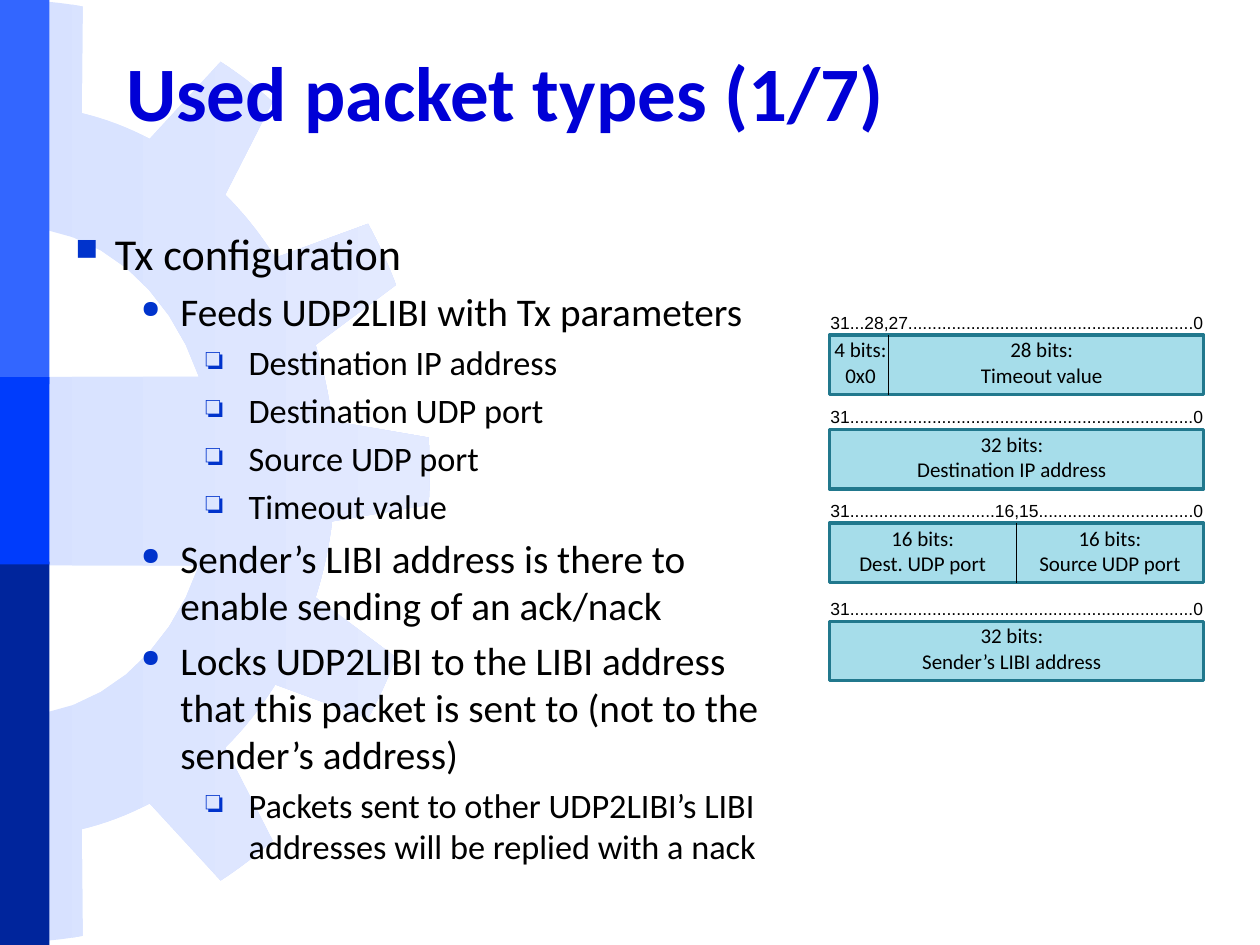
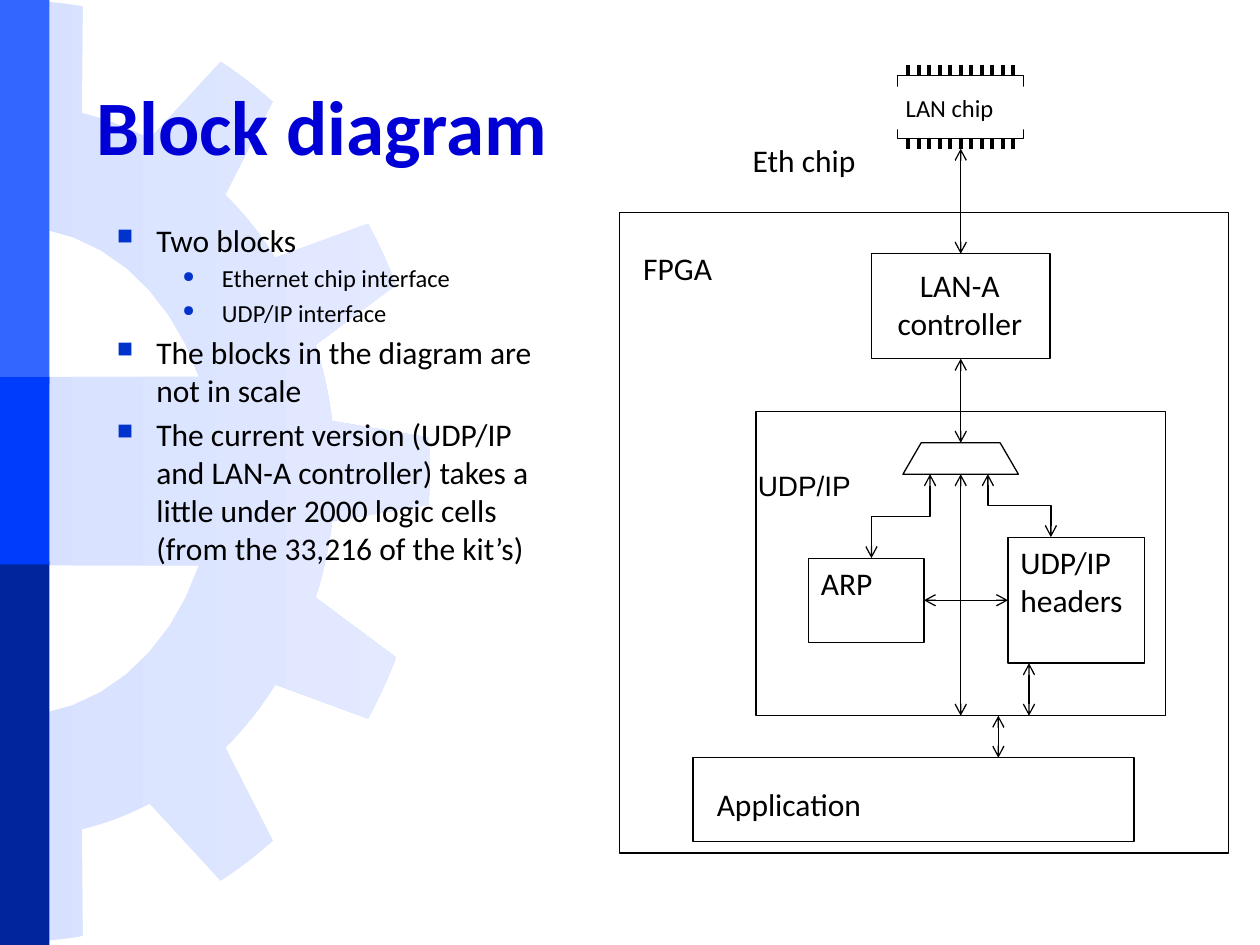
"""Builds two slides on UDP/IP packet types and the block diagram of the design."""

from math import cos, radians, sin

from lxml import etree
from pptx import Presentation
from pptx.dml.color import RGBColor
from pptx.enum.shapes import MSO_CONNECTOR, MSO_SHAPE
from pptx.enum.text import MSO_ANCHOR, PP_ALIGN
from pptx.oxml.ns import qn
from pptx.util import Pt

STRAIGHT, ELBOW = MSO_CONNECTOR.STRAIGHT, MSO_CONNECTOR.ELBOW
RECTANGLE, TRAPEZOID = MSO_SHAPE.RECTANGLE, MSO_SHAPE.TRAPEZOID
LEFT, CENTER = PP_ALIGN.LEFT, PP_ALIGN.CENTER
TOP, BOTTOM = MSO_ANCHOR.TOP, MSO_ANCHOR.BOTTOM
SIDE_TOP, SIDE_LEFT, SIDE_BOTTOM, SIDE_RIGHT = range(4)

BLACK = RGBColor(0x00, 0x00, 0x00)
WHITE = RGBColor(0xFF, 0xFF, 0xFF)
TITLE_BLUE = RGBColor(0x00, 0x00, 0xD6)
BULLET_BLUE = RGBColor(0x00, 0x33, 0xCC)
PACKET_FILL = RGBColor(0xA6, 0xDD, 0xEA)
PACKET_EDGE = RGBColor(0x21, 0x78, 0x8D)
GEAR_START = RGBColor(0xD7, 0xE1, 0xFF)
GEAR_END = RGBColor(0xE3, 0xEA, 0xFF)

TITLE = {"name": "Calibri", "size": Pt(44), "bold": True, "color": TITLE_BLUE}
BODY = {"name": "Calibri", "color": BLACK}
LABEL = {"name": "Calibri", "size": Pt(18), "color": BLACK}
CHIP_LABEL = {**LABEL, "size": Pt(14)}
FIELD = {**LABEL, "size": Pt(12)}
RULER = {"name": "Arial", "size": Pt(10), "color": BLACK}
BLOCK_LABEL = {**RULER, "size": Pt(16)}

BULLETS = [("■", 70, 22.5, 22.5), ("●", 62, 60, 22.5), ("❏", 90, 99, 24.5)]
SPACE_RATIO = 0.2

BANDS = [
    (0, 219.5, RGBColor(0x33, 0x66, 0xFF)),
    (321, 219, RGBColor(0x00, 0x25, 0x9C)),
    (215.5, 107, RGBColor(0x00, 0x3C, 0xFC)),
]
BAND_WIDTH = 28.25
GEAR_CENTER = (9.5, 269.25)
GEAR_TIP, GEAR_ROOT, GEAR_HOLE = (236, 269), (182, 209), (113, 139.5)
GEAR_ARCS = [
    (GEAR_TIP, 0, 4.1), (GEAR_ROOT, 7.9, 20.2),
    (GEAR_TIP, 23.3, 31.7), (GEAR_ROOT, 35.7, 49.1),
    (GEAR_TIP, 51.7, 60.4), (GEAR_ROOT, 65.3, 78.2),
    (GEAR_TIP, 80.8, 90), (GEAR_HOLE, 90, 22.7),
]
ARC_STEPS = 8

PACKET_TEXT = {
    "title": "Used packet types (1/7)",
    "title_box": (65, 15.25, 623.5, 67.5),
    "body_box": (36, 126, 425.5, 374.5),
    "sizes": (25.2, 22.4, 19.6),
    "body": [
        (0, "Tx configuration"),
        (1, "Feeds UDP2LIBI with Tx parameters"),
        (2, "Destination IP address"),
        (2, "Destination UDP port"),
        (2, "Source UDP port"),
        (2, "Timeout value"),
        (1, "Sender’s LIBI address is there to enable sending of an ack/nack"),
        (1, "Locks UDP2LIBI to the LIBI address that this packet is sent to "
            "(not to the sender’s address)"),
        (2, "Packets sent to other UDP2LIBI’s LIBI addresses will be replied with a nack"),
    ],
}
DIAGRAM_TEXT = {
    "title": "Block diagram",
    "title_box": (48, 12, 648, 90),
    "body_box": (59.75, 122.5, 270, 356.5),
    "sizes": (18, 14),
    "body": [
        (0, "Two blocks"),
        (1, "Ethernet chip interface"),
        (1, "UDP/IP interface"),
        (0, "The blocks in the diagram are not in scale"),
        (0, "The current version (UDP/IP and LAN-A controller) takes a little under "
            "2000 logic cells (from the 33,216 of the kit’s)"),
    ],
}

PACKET_LEFT, PACKET_WIDTH, PACKET_HEIGHT = 474, 213.75, 34
WHOLE_WORD = (496.5, 163.5)
FULL_RULER = "31" + "." * 71 + "0"
PACKETS = [
    (191.5, "31...28,27" + "." * 59 + "0", 507.75,
     [("4 bits:\n0x0", 466.5, 50.5), ("28 bits:\nTimeout value", 513.5, 163.5)]),
    (245.5, FULL_RULER, None, [("32 bits:\nDestination IP address", *WHOLE_WORD)]),
    (299, "31" + "." * 30 + "16,15" + "." * 32 + "0", 581,
     [("16 bits:\nDest. UDP port", 474, 106.5), ("16 bits:\nSource UDP port", 581, 106.5)]),
    (355, FULL_RULER, None, [("32 bits:\nSender’s LIBI address", *WHOLE_WORD)]),
]

AXIS = 549
BLOCKS = {
    "fpga": (354, 121.5, 348, 366, ""),
    "udp_ip": (432, 235, 234, 174, ""),
    "headers": (576, 307, 78, 72, "UDP/IP headers"),
    "arp": (462, 319, 66, 48, "ARP"),
    "controller": (498, 145, 102, 60, ""),
    "chip": (513, 43, 72, 36, ""),
    "application": (396, 433, 252, 48, ""),
}
MULTIPLEXER = (516, 253, 66, 18)
PIN_COUNT, PIN_PITCH, PIN_LENGTH = 11, 6, 6
DIAGRAM_LABELS = [
    ("LAN-A\ncontroller", (502.5, 148.5, 92, 51), LABEL, CENTER, WHITE),
    ("LAN chip", (510.5, 49.5, 78, 24.5), CHIP_LABEL, LEFT, WHITE),
    ("Application", (402.5, 445, 228, 29), LABEL, LEFT, WHITE),
    ("FPGA", (360.5, 139, 114, 29), LABEL, LEFT, WHITE),
    ("UDP/IP", (426, 264, 72, 26.5), BLOCK_LABEL, LEFT, None),
    ("Eth chip", (419.5, 77, 80, 29), LABEL, CENTER, None),
]
ARROWS = [
    ((528, 343), (576, 343), ("arp", SIDE_RIGHT), ("headers", SIDE_LEFT)),
    ((588, 379), (588, 409), None, None),
    ((AXIS, 205), (AXIS, 253), ("controller", SIDE_BOTTOM), None),
    ((AXIS, 271), (AXIS, 409), None, ("udp_ip", SIDE_BOTTOM)),
    ((AXIS, 85), (AXIS, 145), None, ("controller", SIDE_TOP)),
    ((570.5, 409), (570.5, 433), None, None),
]
ELBOWS = [((498, 319), (531.5, 271), 1), ((600.5, 307), (564.5, 271), -1)]


def points(values):
    return [Pt(value) for value in values]


def add_run(paragraph, text, text_format):
    run = paragraph.add_run()
    run.text = text
    for name, value in text_format.items():
        if name == "color":
            run.font.color.rgb = value
        else:
            setattr(run.font, name, value)


def write(frame, text, text_format, alignment=LEFT, anchor=TOP):
    frame.word_wrap = True
    frame.vertical_anchor = anchor
    for index, line in enumerate(text.split("\n")):
        paragraph = frame.paragraphs[0] if index == 0 else frame.add_paragraph()
        paragraph.alignment = alignment
        add_run(paragraph, line, text_format)


def add_text(slide, text, box, text_format, alignment=LEFT, fill=None, anchor=TOP):
    shape = slide.shapes.add_textbox(*points(box))
    if fill is not None:
        shape.fill.solid()
        shape.fill.fore_color.rgb = fill
    write(shape.text_frame, text, text_format, alignment, anchor)
    return shape


def add_box(slide, box, fill, edge=None, width=0.75, kind=RECTANGLE):
    shape = slide.shapes.add_shape(kind, *points(box))
    shape.shadow.inherit = False
    shape.fill.solid()
    shape.fill.fore_color.rgb = fill
    if edge is None:
        shape.line.fill.background()
    else:
        shape.line.color.rgb = edge
        shape.line.width = Pt(width)
    return shape


def add_line(slide, start, end, width=0.75, arrows=False, kind=STRAIGHT):
    connector = slide.shapes.add_connector(kind, *points((*start, *end)))
    connector.line.color.rgb = BLACK
    connector.line.width = Pt(width)
    properties = connector._element.spPr
    if arrows:
        outline = properties.find(qn("a:ln"))
        for tag in ("a:headEnd", "a:tailEnd"):
            etree.SubElement(outline, qn(tag), type="arrow")
    etree.SubElement(properties, qn("a:effectLst"))
    return connector


def add_vertical_elbow(slide, start, end, turn):
    middle_x, middle_y = (start[0] + end[0]) / 2, (start[1] + end[1]) / 2
    offset_x = turn * (start[1] - middle_y)
    offset_y = -turn * (start[0] - middle_x)
    connector = add_line(slide, (middle_x + offset_x, middle_y + offset_y),
                         (middle_x - offset_x, middle_y - offset_y), arrows=True, kind=ELBOW)
    transform = connector._element.spPr.find(qn("a:xfrm"))
    transform.set("rot", str(turn * 90 % 360 * 60000))


def add_bullet(paragraph, level):
    character, percent, margin, hanging = BULLETS[level]
    paragraph.level = level
    properties = paragraph._p.get_or_add_pPr()
    properties.set("marL", str(Pt(margin)))
    properties.set("indent", str(-Pt(hanging)))
    color = etree.SubElement(properties, qn("a:buClr"))
    etree.SubElement(color, qn("a:srgbClr"), val=str(BULLET_BLUE))
    etree.SubElement(properties, qn("a:buSzPct"), val=str(percent * 1000))
    etree.SubElement(properties, qn("a:buChar"), char=character)


def gear_outline():
    center_x, center_y = GEAR_CENTER
    upper_half = []
    for (radius_x, radius_y), first, last in GEAR_ARCS:
        for step in range(ARC_STEPS + 1):
            angle = radians(first + (last - first) * step / ARC_STEPS)
            upper_half.append((center_x + radius_x * cos(angle),
                               center_y - radius_y * sin(angle)))
    upper_half.append((0, upper_half[-1][1]))
    lower_half = [(x, 2 * center_y - y) for x, y in reversed(upper_half)]
    return [points(point) for point in lower_half + upper_half]


def add_background(slide):
    outline = gear_outline()
    builder = slide.shapes.build_freeform(*outline[0])
    builder.add_line_segments(outline[1:], close=True)
    gear = builder.convert_to_shape()
    gear.shadow.inherit = False
    gear.line.fill.background()
    gear.fill.gradient()
    gear.fill.gradient_angle = 0
    for stop, color in zip(gear.fill.gradient_stops, (GEAR_START, GEAR_END)):
        stop.color.rgb = color
    for top, height, color in BANDS:
        add_box(slide, (0, top, BAND_WIDTH, height), color)


def add_content_slide(presentation, content):
    slide = presentation.slides.add_slide(presentation.slide_layouts[6])
    add_background(slide)
    title = add_text(slide, content["title"], content["title_box"], TITLE, anchor=BOTTOM)
    title.text_frame.paragraphs[0].line_spacing = 0.9
    frame = slide.shapes.add_textbox(*points(content["body_box"])).text_frame
    frame.word_wrap = True
    for index, (level, text) in enumerate(content["body"]):
        paragraph = frame.add_paragraph() if index else frame.paragraphs[0]
        size = content["sizes"][level]
        add_bullet(paragraph, level)
        if index:
            paragraph.space_before = Pt(round(size * SPACE_RATIO, 1))
        add_run(paragraph, text, {**BODY, "size": Pt(size)})
    return slide


def add_packets(slide):
    for top, ruler, divider, fields in PACKETS:
        add_box(slide, (PACKET_LEFT, top, PACKET_WIDTH, PACKET_HEIGHT),
                PACKET_FILL, PACKET_EDGE, 2)
        if divider is not None:
            add_line(slide, (divider, top), (divider, top + PACKET_HEIGHT))
        for text, left, width in fields:
            add_text(slide, text, (left, top - 2.5, width, 36.5), FIELD, CENTER)
        add_text(slide, ruler, (467.5, top - 17, 235, 19.5), RULER)


def add_diagram(slide):
    blocks = {}
    for name, (*box, text) in BLOCKS.items():
        blocks[name] = add_box(slide, box, WHITE, BLACK)
        if text:
            write(blocks[name].text_frame, text, LABEL)
    multiplexer = add_box(slide, MULTIPLEXER, WHITE, BLACK, kind=TRAPEZOID)
    multiplexer.adjustments[0] = 0.58
    chip_left, chip_top, _, chip_height, _ = BLOCKS["chip"]
    for pin_top in (chip_top - PIN_LENGTH, chip_top + chip_height):
        for pin in range(1, PIN_COUNT + 1):
            x = chip_left + pin * PIN_PITCH
            add_line(slide, (x, pin_top), (x, pin_top + PIN_LENGTH), 2.25)
    for label in DIAGRAM_LABELS:
        add_text(slide, *label)
    for start, end, begin_joint, end_joint in ARROWS:
        arrow = add_line(slide, start, end, arrows=True)
        if begin_joint:
            arrow.begin_connect(blocks[begin_joint[0]], begin_joint[1])
        if end_joint:
            arrow.end_connect(blocks[end_joint[0]], end_joint[1])
    for elbow in ELBOWS:
        add_vertical_elbow(slide, *elbow)


def main():
    presentation = Presentation()
    presentation.slide_width, presentation.slide_height = Pt(720), Pt(540)
    add_packets(add_content_slide(presentation, PACKET_TEXT))
    add_diagram(add_content_slide(presentation, DIAGRAM_TEXT))
    presentation.save("out.pptx")


if __name__ == "__main__":
    main()
